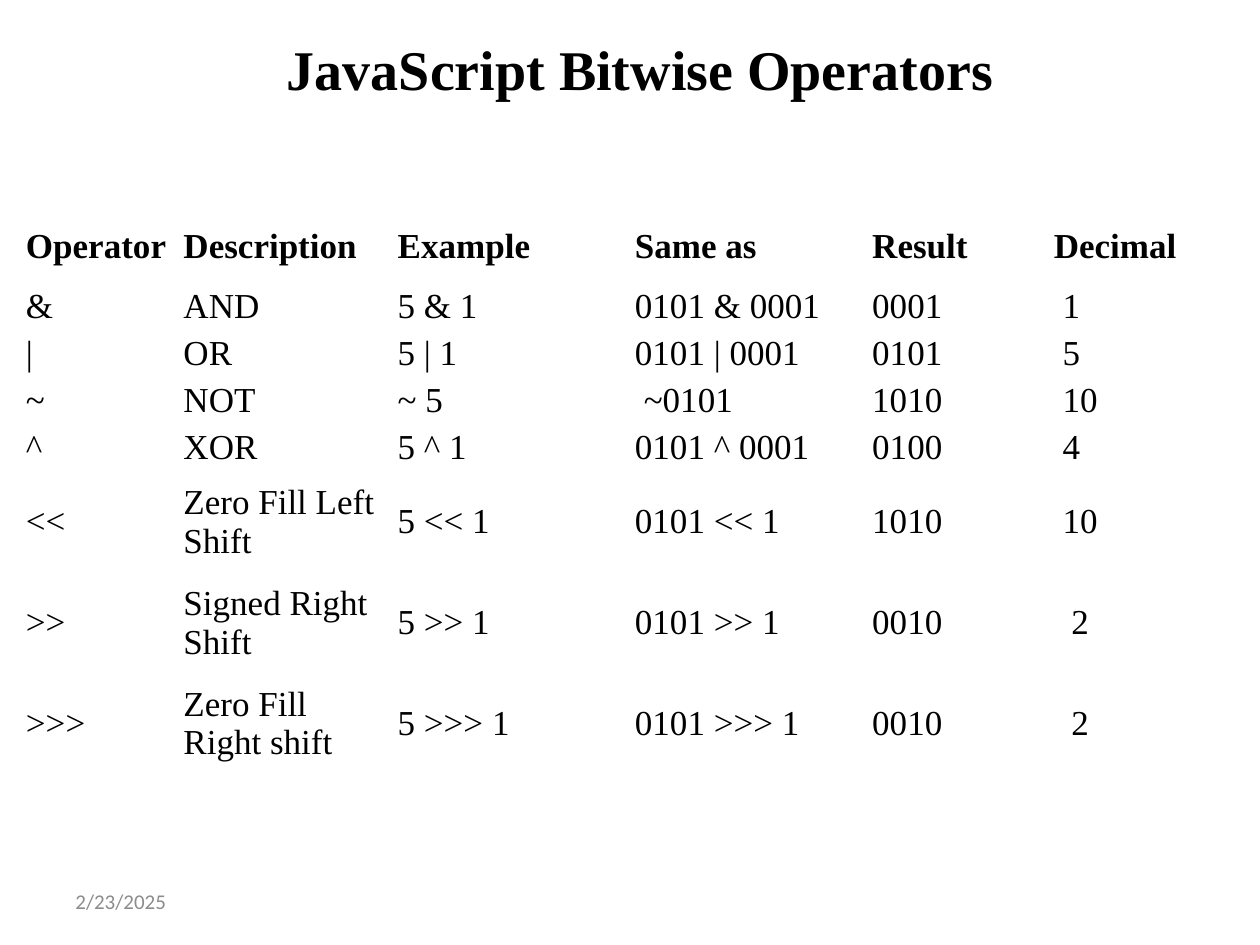
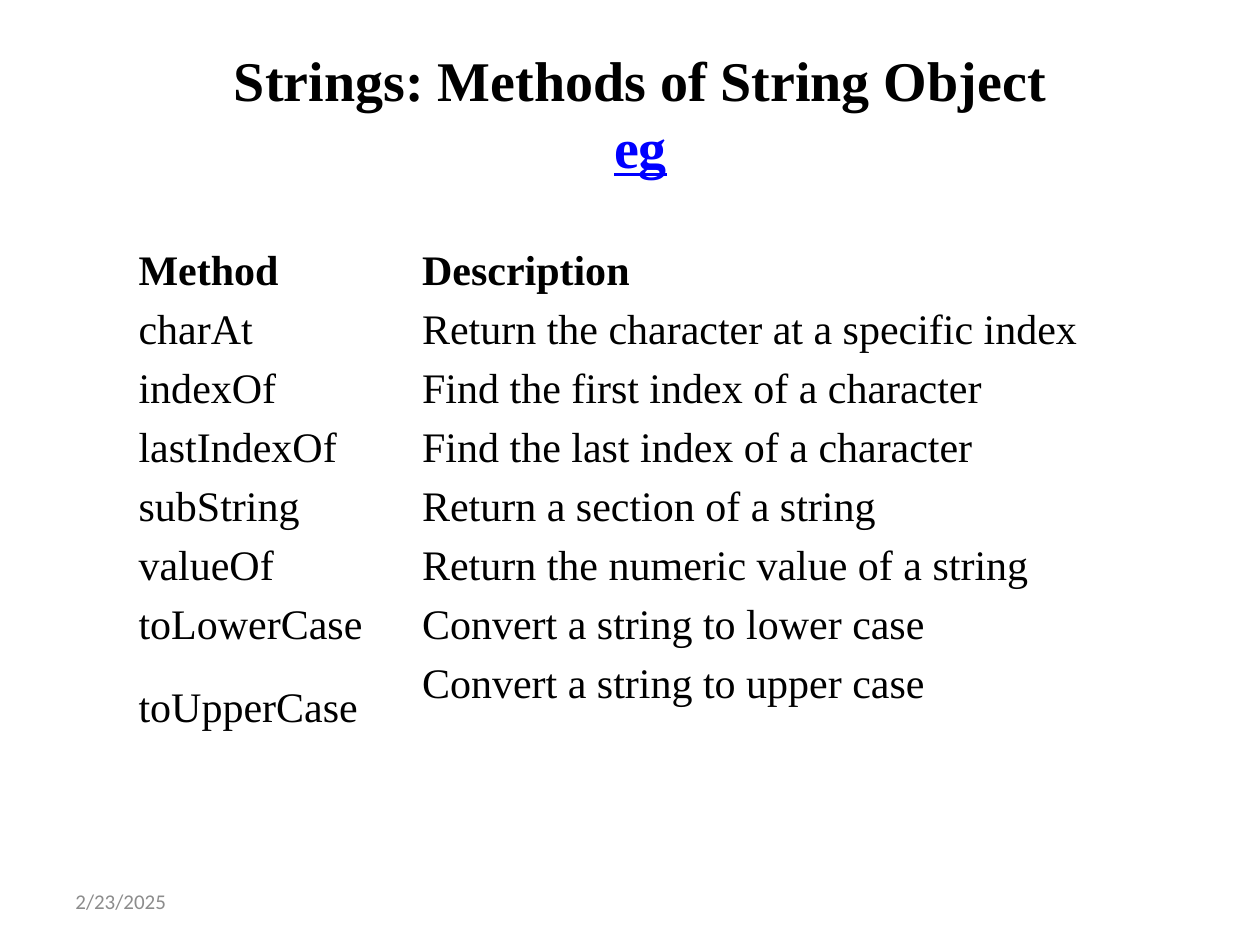
from pptx import Presentation
from pptx import util as u
from pptx.dml.color import RGBColor
from pptx.enum import text
from pptx.oxml import ns

BLACK = RGBColor(0x00, 0x00, 0x00)
LINK_BLUE = RGBColor(0x00, 0x00, 0xFF)
FOOTER_GREY = RGBColor(0x8C, 0x8C, 0x8C)
SERIF, SANS = "Times New Roman", "Calibri"
PLAIN_TABLE = "{2D5ABB26-0587-4C30-8999-92F81FD0307C}"
GRID_COLUMNS, GRID_ROWS = 120, 90
MIDDLE, TOP = text.MSO_ANCHOR.MIDDLE, text.MSO_ANCHOR.TOP
NARROW = (0.04, 0.02)
WIDE = (0.1, 0.03)
SPACE = 0.07

OPERATORS = [
    ("Operator", "Description", "Example", "Same as", "Result", "Decimal"),
    ("&", "AND", "5 & 1", "0101 & 0001", "0001", "1"),
    ("|", "OR", "5 | 1", "0101 | 0001", "0101", "5"),
    ("~", "NOT", "~ 5", "~0101", "1010", "10"),
    ("^", "XOR", "5 ^ 1", "0101 ^ 0001", "0100", "4"),
    ("<<", "Zero Fill Left Shift", "5 << 1", "0101 << 1", "1010", "10"),
    (">>", "Signed Right Shift", "5 >> 1", "0101 >> 1", "0010", "2"),
    (">>>", "Zero Fill Right shift", "5 >>> 1", "0101 >>> 1", "0010", "2"),
]
METHODS = [
    ("Method", "Description"),
    ("charAt", "Return the character at a specific index"),
    ("indexOf", "Find the first index of a character"),
    ("lastIndexOf", "Find the last index of a character"),
    ("subString", "Return a section of a string"),
    ("valueOf", "Return the numeric value of a string"),
    ("toLowerCase", "Convert a string to lower case"),
    ("toUpperCase", "Convert a string to upper case"),
]


class Deck:
    def __init__(self):
        self.presentation = Presentation()
        self.presentation.slide_width = u.Inches(10)
        self.presentation.slide_height = u.Inches(7.5)
        self.slide = None

    def across(self, columns):
        return round(self.presentation.slide_width * columns / GRID_COLUMNS)

    def down(self, rows):
        return round(self.presentation.slide_height * rows / GRID_ROWS)

    def area(self, left, top, width, height):
        return self.across(left), self.down(top), self.across(width), self.down(height)

    def style(self, paragraph, size, color=BLACK, face=SERIF, bold=False):
        font = paragraph.font
        font.size, font.name, font.bold = u.Pt(size), face, bold
        font.color.rgb = color

    def add_slide(self):
        layout = self.presentation.slide_layouts.get_by_name("Title Only")
        self.slide = self.presentation.slides.add_slide(layout)
        self.date("2/23/2025")

    def title(self, heading, top, height, anchor=MIDDLE, margin_top=0.05, link=None):
        title = self.slide.shapes.title
        title.left, title.top, title.width, title.height = self.area(6, top, 110, height)
        frame = title.text_frame
        frame.text = heading
        frame.auto_size = text.MSO_AUTO_SIZE.NONE
        frame.vertical_anchor = anchor
        frame.margin_top = u.Inches(margin_top)
        line = frame.paragraphs[0]
        line.alignment = text.PP_ALIGN.CENTER
        self.style(line, 32, bold=True)
        if link:
            line.add_line_break()
            example = line.add_run()
            example.text = link
            example.font.underline = True
            example.font.color.rgb = LINK_BLUE

    def date(self, day):
        frame = self.slide.shapes.add_textbox(*self.area(6, 83.4, 28, 4.8)).text_frame
        frame.word_wrap = True
        frame.vertical_anchor = MIDDLE
        frame.text = day
        self.style(frame.paragraphs[0], 12, FOOTER_GREY, SANS)

    def table(self, entries, left, top, widths, heights, size, margins):
        place = self.area(left, top, sum(widths), sum(heights))
        frame = self.slide.shapes.add_table(len(heights), len(widths), *place)
        table = frame.table
        table.first_row = table.horz_banding = False
        next(frame.element.iter(ns.qn("a:tableStyleId"))).text = PLAIN_TABLE
        for column, width in zip(table.columns, widths):
            column.width = self.across(width)
        for row, height in zip(table.rows, heights):
            row.height = self.down(height)
        side, edge = map(u.Inches, margins)
        for r, entry in enumerate(entries):
            for c, words in enumerate(entry):
                cell = table.cell(r, c)
                cell.fill.background()
                cell.text = words
                cell.vertical_anchor = MIDDLE
                cell.margin_left = cell.margin_right = side
                cell.margin_top = cell.margin_bottom = edge
                self.style(cell.text_frame.paragraphs[0], size, bold=r == 0)
        return table


def bitwise_operators(deck):
    deck.add_slide()
    deck.title("JavaScript Bitwise Operators", 0, 13)
    widths = [15, 20.4, 22.6, 22.6, 17.3, 17]
    heights = [7] + [4.35] * 4 + [9.6] * 3
    operators = deck.table(OPERATORS, 2, 20, widths, heights, 20, NARROW)
    indents = {(row, 5): 1 if row < 6 else 2 for row in range(1, len(OPERATORS))}
    indents[3, 3] = 1
    for position, spaces in indents.items():
        operators.cell(*position).margin_left = u.Inches(NARROW[0] + spaces * SPACE)


def string_methods(deck):
    deck.add_slide()
    deck.title("Strings: Methods of String Object", 3, 9, TOP, 0.11, link="eg")
    heights = [5.62] * 7 + [10.3]
    methods = deck.table(METHODS, 12, 23, [27, 76], heights, 24, WIDE)
    upper_case = methods.cell(len(METHODS) - 1, 1)
    upper_case.vertical_anchor = TOP
    upper_case.margin_top = u.Inches(0.05)


def main():
    deck = Deck()
    bitwise_operators(deck)
    string_methods(deck)
    deck.presentation.save("out.pptx")


if __name__ == "__main__":
    main()
